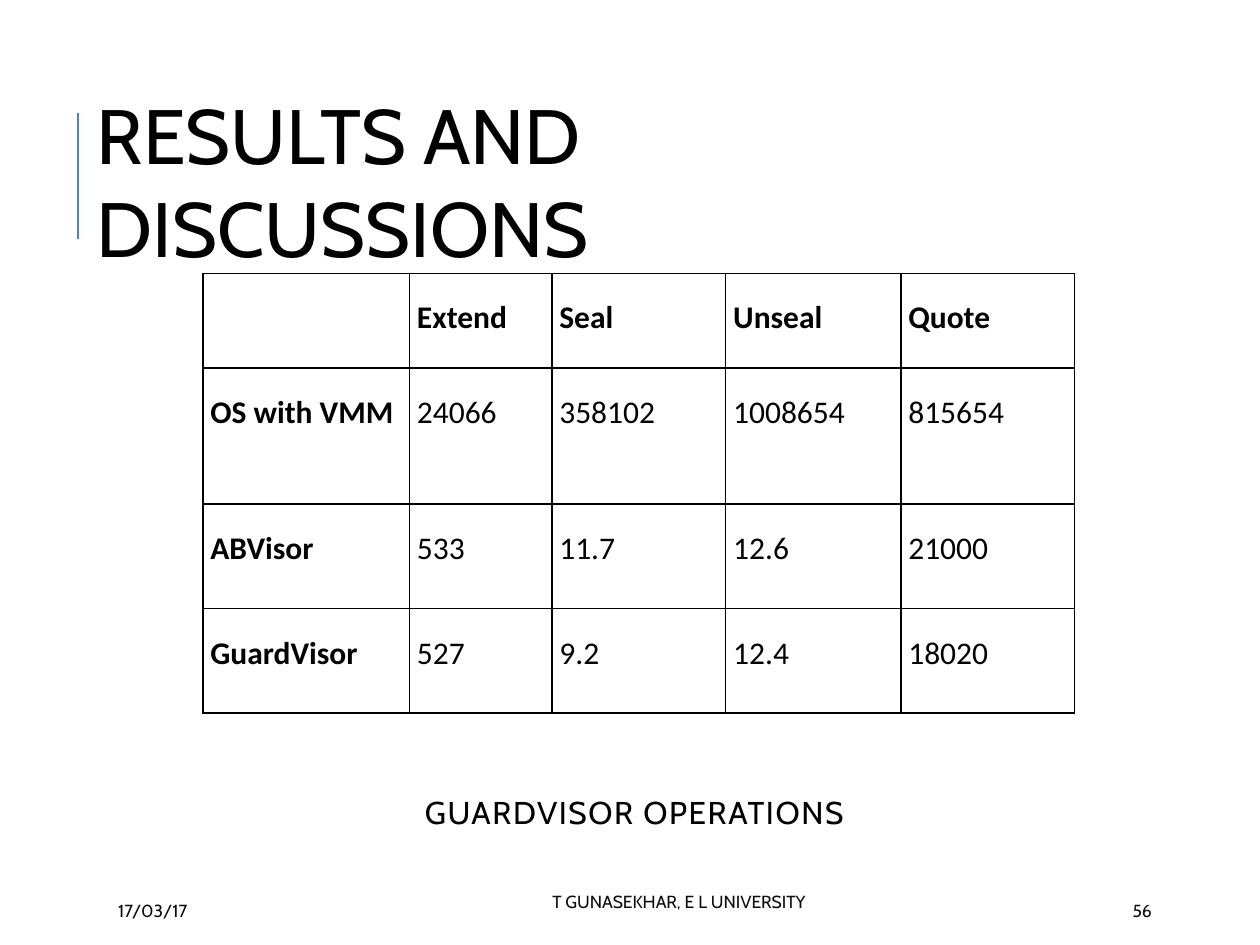
import pptx
import pptx.dml.color
import pptx.enum.shapes
import pptx.enum.text
import pptx.oxml
import pptx.oxml.ns
import pptx.util
from pptx.util import Inches

ALIGN = pptx.enum.text.PP_ALIGN
ANCHOR = pptx.enum.text.MSO_ANCHOR


def color(hex_code):
    return pptx.dml.color.RGBColor.from_string(hex_code)


class SlideBuilder:
    heading_font = "Cabin"
    table_font = "Calibri"
    black = "000000"
    footer_color = "0D0D0D"
    accent = "4F81BD"
    white = "FFFFFF"

    def __init__(self, slide):
        self.slide = slide

    def format_runs(self, para, font, size, hex_code, bold=False):
        for span in para.runs:
            span.font.name = font
            span.font.size = pptx.util.Pt(size)
            span.font.bold = bold
            span.font.color.rgb = color(hex_code)

    def text(self, words, left, top, width, height, size,
             hex_code=black, align=ALIGN.LEFT, spacing=0):
        """Add a middle-anchored text box; spacing is letter spacing in points."""
        box = self.slide.shapes.add_textbox(
            Inches(left), Inches(top), Inches(width), Inches(height))
        frame = box.text_frame
        frame.word_wrap = True
        frame.vertical_anchor = ANCHOR.MIDDLE
        frame.text = words
        para = frame.paragraphs[0]
        para.alignment = align
        self.format_runs(para, self.heading_font, size, hex_code)
        if spacing:
            for span in para.runs:
                span._r.get_or_add_rPr().set("spc", str(round(spacing * 100)))

    def footer(self, words, left, top, width, height, align=ALIGN.LEFT):
        self.text(words, left, top, width, height, 10, self.footer_color, align)

    def line(self, start, end, hex_code, weight):
        connector = self.slide.shapes.add_connector(
            pptx.enum.shapes.MSO_CONNECTOR.STRAIGHT,
            *(Inches(value) for value in (*start, *end)))
        connector.line.color.rgb = color(hex_code)
        connector.line.width = pptx.util.Pt(weight)
        properties = connector._element.spPr
        properties.append(pptx.oxml.parse_xml(
            f"<a:effectLst {pptx.oxml.ns.nsdecls('a')}/>"))

    def cell_borders(self, cell, hex_code, weight):
        properties = cell._tc.get_or_add_tcPr()
        for position, side in enumerate(("lnL", "lnR", "lnT", "lnB")):
            properties.insert(position, pptx.oxml.parse_xml(
                f"<a:{side} {pptx.oxml.ns.nsdecls('a')} w='{pptx.util.Pt(weight)}'>"
                f"<a:solidFill><a:srgbClr val='{hex_code}'/></a:solidFill>"
                f"</a:{side}>"))

    def table(self, rows, left, top, widths, heights):
        """Add a ruled table whose first row and first column are bold."""
        table = self.slide.shapes.add_table(
            len(rows), len(widths), Inches(left), Inches(top),
            Inches(sum(widths)), Inches(sum(heights))).table
        for column, width in zip(table.columns, widths):
            column.width = Inches(width)
        for row_index, (values, height) in enumerate(zip(rows, heights)):
            table.rows[row_index].height = Inches(height)
            for column_index, value in enumerate(values):
                cell = table.cell(row_index, column_index)
                cell.margin_left = cell.margin_right = Inches(0.06)
                cell.fill.solid()
                cell.fill.fore_color.rgb = color(self.white)
                self.cell_borders(cell, self.black, 0.96)
                if not value:
                    continue
                cell.text_frame.text = value
                para = cell.text_frame.paragraphs[0]
                para.alignment = ALIGN.JUSTIFY
                para.line_spacing = 1.5
                self.format_runs(para, self.table_font, 18, self.black,
                                 bold=row_index == 0 or column_index == 0)


def main():
    deck = pptx.Presentation()
    deck.slide_width, deck.slide_height = Inches(10), Inches(7.5)
    page = SlideBuilder(deck.slides.add_slide(deck.slide_layouts[6]))

    page.line((0.62, 1.9), (0.62, 0.9), page.accent, 1.5)
    page.text("GUARDVISOR OPERATIONS ", 2.4, 6.08, 5.34, 0.72, 18,
              align=ALIGN.CENTER, spacing=0.9)
    operations = [
        ("", "Extend", "Seal", "Unseal", "Quote"),
        ("OS with VMM", "24066", "358102", "1008654", "815654"),
        ("ABVisor", "533", "11.7", "12.6", "21000"),
        ("GuardVisor", "527", "9.2", "12.4", "18020"),
    ]
    page.table(operations, 1.61, 2.17,
               widths=(1.64, 1.13, 1.38, 1.39, 1.38),
               heights=(0.75, 1.08, 0.83, 0.83))
    page.footer("17/03/17", 0.84, 7.08, 1.77, 0.3)
    page.footer("T GUNASEKHAR, E L UNIVERSITY", 2.27, 7.03, 4.22, 0.25, ALIGN.RIGHT)
    page.footer("56", 8.89, 7.08, 0.8, 0.3)
    page.text("RESULTS AND DISCUSSIONS", 0.67, 1.07, 8.08, 0.72, 44)

    deck.save("out.pptx")


if __name__ == "__main__":
    main()
